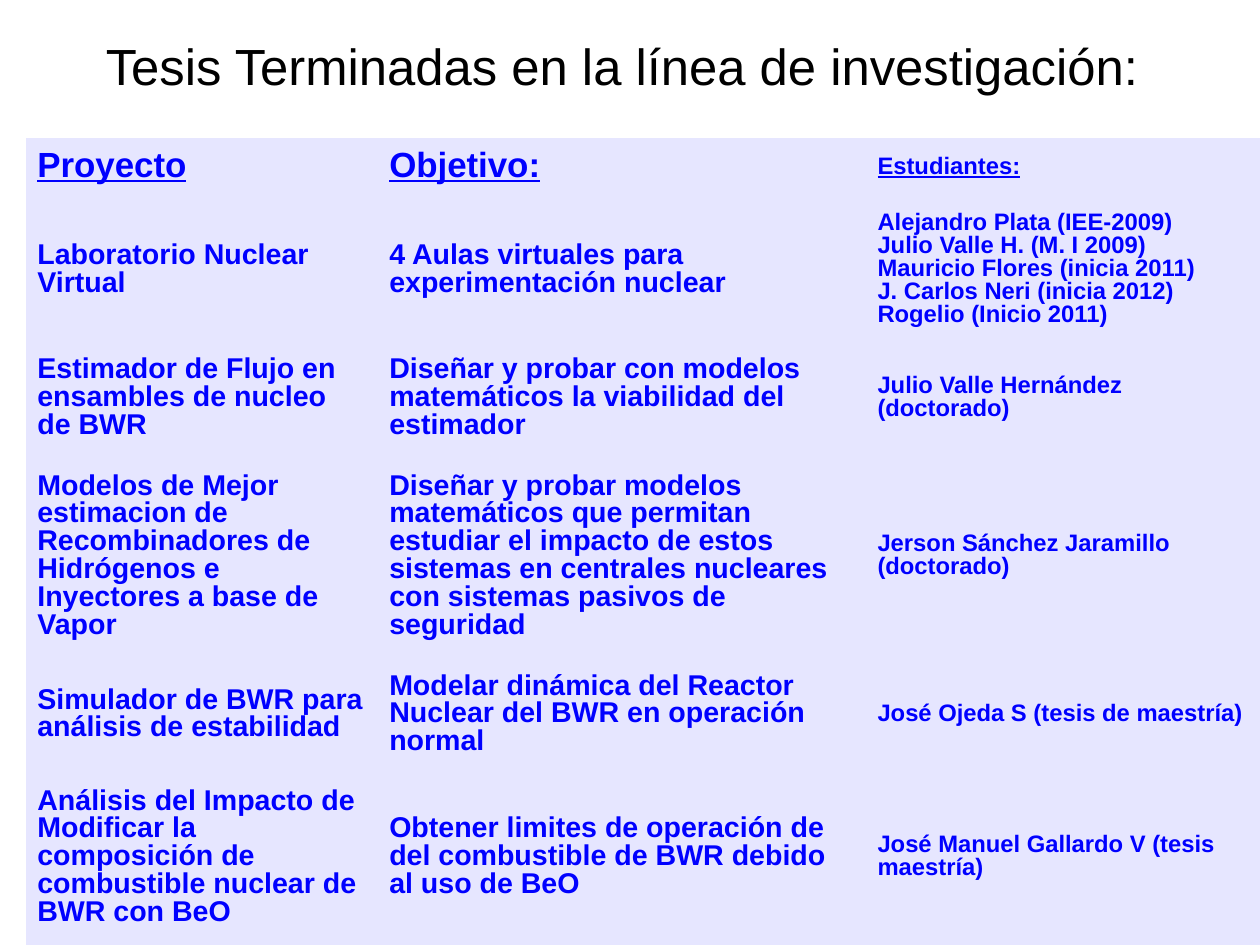
import pptx
import pptx.dml.color
import pptx.enum.text
import pptx.oxml.ns
import pptx.util

Cm = pptx.util.Cm
MIDDLE = pptx.enum.text.MSO_ANCHOR.MIDDLE
NO_STYLE = "{2D5ABB26-0587-4C30-8999-92F81FD0307C}"
WIDTHS = [7.82, 10.85, 8.74]
HEIGHTS = [1.3, 3.25, 2.46, 4.57, 2.46, 3.89]
HEAD_SIZES = [22, 22, 15]
BODY_SIZES = [18, 18, 15]
ROWS = [
    ("Proyecto", "Objetivo:", "Estudiantes:"),
    ("Laboratorio Nuclear Virtual",
     "4 Aulas virtuales para experimentación nuclear",
     "Alejandro Plata (IEE-2009)\nJulio Valle H. (M. I 2009)\n"
     "Mauricio Flores (inicia 2011)\nJ. Carlos Neri (inicia 2012)\n"
     "Rogelio (Inicio 2011)"),
    ("Estimador de Flujo en ensambles de nucleo de BWR",
     "Diseñar y probar con modelos matemáticos la viabilidad del estimador",
     "Julio Valle Hernández (doctorado)"),
    ("Modelos de Mejor estimacion de Recombinadores de Hidrógenos e "
     "Inyectores a base de Vapor",
     "Diseñar y probar modelos matemáticos que permitan estudiar el impacto "
     "de estos sistemas en centrales nucleares con sistemas pasivos de "
     "seguridad",
     "Jerson Sánchez Jaramillo\n(doctorado)"),
    ("Simulador de BWR para análisis de estabilidad",
     "Modelar dinámica del Reactor Nuclear del BWR en operación normal",
     "José Ojeda S (tesis de maestría)"),
    ("Análisis del Impacto de Modificar la composición de combustible "
     "nuclear de BWR con BeO",
     "Obtener limites de operación de del combustible de BWR debido al uso "
     "de BeO",
     "José Manuel Gallardo V (tesis maestría)"),
]


def color(code):
    return pptx.dml.color.RGBColor.from_string(code)


def set_font(para, size, code):
    para.font.name = "Arial"
    para.font.size = pptx.util.Pt(size)
    para.font.color.rgb = color(code)


def add_title(slide, text):
    title = slide.shapes.title
    title.left, title.top = Cm(1.24), Cm(0.1)
    title.width, title.height = Cm(25.2), Cm(2.7)
    frame = title.text_frame
    frame.text = text
    frame.word_wrap = True
    frame.auto_size = pptx.enum.text.MSO_AUTO_SIZE.NONE
    frame.vertical_anchor = MIDDLE
    frame.margin_left = frame.margin_right = 0
    frame.margin_top = frame.margin_bottom = 0
    para = frame.paragraphs[0]
    para.alignment = pptx.enum.text.PP_ALIGN.CENTER
    set_font(para, 32, "000000")


def fill_cell(cell, text, size, head):
    cell.fill.solid()
    cell.fill.fore_color.rgb = color("E6E6FF")
    cell.vertical_anchor = MIDDLE
    cell.margin_left = cell.margin_right = Cm(0.25)
    cell.margin_top = cell.margin_bottom = Cm(0.13)
    cell.text = text
    for para in cell.text_frame.paragraphs:
        para.line_spacing = 0.87
        set_font(para, size, "0000FF")
        para.font.bold = True
        para.font.underline = head


def add_table(slide):
    frame = slide.shapes.add_table(
        len(ROWS), len(WIDTHS), Cm(0.58), Cm(3.07),
        Cm(sum(WIDTHS)), Cm(sum(HEIGHTS)))
    table = frame.table
    table.horz_banding = False
    table.first_row = False
    style = pptx.oxml.ns.qn("a:tableStyleId")
    table._tbl.tblPr.find(style).text = NO_STYLE
    for col, width in zip(table.columns, WIDTHS):
        col.width = Cm(width)
    for i, texts in enumerate(ROWS):
        table.rows[i].height = Cm(HEIGHTS[i])
        sizes = BODY_SIZES if i else HEAD_SIZES
        for j, text in enumerate(texts):
            fill_cell(table.cell(i, j), text, sizes[j], i == 0)


def main():
    deck = pptx.Presentation()
    deck.slide_width, deck.slide_height = Cm(28), Cm(21)
    slide = deck.slides.add_slide(deck.slide_layouts.get_by_name("Title Only"))
    add_table(slide)
    add_title(slide, "Tesis Terminadas en la línea de investigación:")
    deck.save("out.pptx")


if __name__ == "__main__":
    main()
